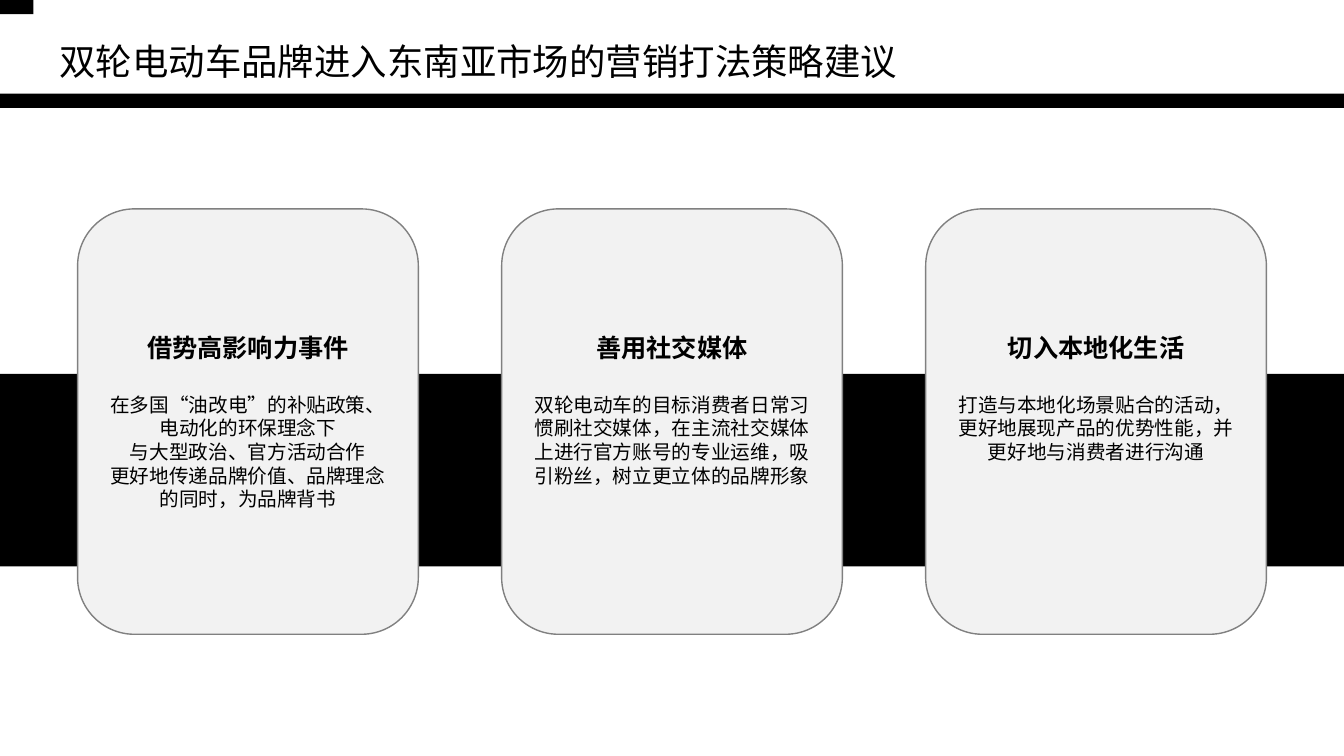
"""Builds a slide with three marketing strategy cards for entering Southeast Asia."""
from dataclasses import dataclass

from pptx import Presentation
from pptx.dml.color import RGBColor
from pptx.enum.shapes import MSO_SHAPE as Preset
from pptx.enum.text import MSO_ANCHOR as Anchor, PP_ALIGN as Align
from pptx.oxml.ns import qn
from pptx.oxml.xmlchemy import OxmlElement
from pptx.shapes.autoshape import Shape
from pptx.slide import Slide
from pptx.text.text import _Paragraph as Paragraph
from pptx.util import Inches, Pt

SLIDE_WIDTH, SLIDE_HEIGHT = Inches(13.33), Inches(7.5)
COLUMN, ROW = SLIDE_WIDTH / 100, SLIDE_HEIGHT / 100


@dataclass(frozen=True)
class Theme:
    font: str = "Noto Sans CJK SC"
    ink: RGBColor = RGBColor(0, 0, 0)
    card_fill: RGBColor = RGBColor(0xF2, 0xF2, 0xF2)
    card_border: RGBColor = RGBColor(0x80, 0x80, 0x80)
    title_size: int = 26
    heading_size: int = 18
    body_size: int = 14
    heading_gap: float = 21.6
    border_width: int = 1


@dataclass(frozen=True)
class Area:
    """Position and size in hundredths of the slide's width and height."""
    column: float
    row: float
    columns: float
    rows: float

    def box(self) -> tuple[int, int, int, int]:
        return (round(self.column * COLUMN), round(self.row * ROW),
                round(self.columns * COLUMN), round(self.rows * ROW))


@dataclass(frozen=True)
class Strategy:
    heading: str
    advice: tuple[str, ...]


THEME = Theme()
HEADER_RULE = Area(0, 12.4, 100, 1.87)
CORNER_TAB = Area(0, 0, 2.48, 1.87)
TITLE_AREA = Area(3.68, 4.4, 94.15, 8.13)
CENTRE_BAND = Area(0, 49.47, 100, 25.47)
CARD_TOP, CARD_COLUMNS, CARD_ROWS, CARD_PITCH = 27.63, 25.35, 56.27, 31.55
CARD_TEXT_INSET = 14.13

TITLE = "双轮电动车品牌进入东南亚市场的营销打法策略建议"
STRATEGIES = (
    Strategy("借势高影响力事件", (
        "在多国“油改电”的补贴政策、电动化的环保理念下",
        "与大型政治、官方活动合作",
        "更好地传递品牌价值、品牌理念的同时，为品牌背书",
    )),
    Strategy("善用社交媒体", (
        "双轮电动车的目标消费者日常习惯刷社交媒体，在主流社交媒体上进行官方账号的专业运维，"
        "吸引粉丝，树立更立体的品牌形象",
    )),
    Strategy("切入本地化生活", (
        "打造与本地化场景贴合的活动，更好地展现产品的优势性能，并更好地与消费者进行沟通",
    )),
)


def format_text(paragraph: Paragraph, size: int, bold: bool = False) -> None:
    for run in paragraph.runs:
        run.font.name = THEME.font
        run.font.size = Pt(size)
        run.font.bold = bold
        run.font.color.rgb = THEME.ink
        properties = run.font._element
        properties.set("lang", "zh-CN")
        east_asian = OxmlElement("a:ea")
        east_asian.set("typeface", THEME.font)
        properties.find(qn("a:latin")).addnext(east_asian)


def add_panel(slide: Slide, preset: Preset, area: Area, fill: RGBColor) -> Shape:
    panel = slide.shapes.add_shape(preset, *area.box())
    panel.shadow.inherit = False
    panel.fill.solid()
    panel.fill.fore_color.rgb = fill
    panel.line.fill.background()
    return panel


def add_title(slide: Slide) -> None:
    frame = slide.shapes.add_textbox(*TITLE_AREA.box()).text_frame
    frame.word_wrap = True
    frame.vertical_anchor = Anchor.MIDDLE
    frame.text = TITLE
    frame.paragraphs[0].line_spacing = 0.9
    format_text(frame.paragraphs[0], THEME.title_size)


def add_card(slide: Slide, strategy: Strategy, area: Area) -> None:
    card = add_panel(slide, Preset.ROUNDED_RECTANGLE, area, THEME.card_fill)
    card.line.color.rgb = THEME.card_border
    card.line.width = Pt(THEME.border_width)
    frame = card.text_frame
    frame.word_wrap = True
    frame.vertical_anchor = Anchor.TOP
    frame.margin_top = round(CARD_TEXT_INSET * ROW)
    frame.text = "\n".join((strategy.heading, *strategy.advice))
    heading, *advice = frame.paragraphs
    for paragraph in frame.paragraphs:
        paragraph.alignment = Align.CENTER
    heading.space_after = Pt(THEME.heading_gap)
    format_text(heading, THEME.heading_size, bold=True)
    for paragraph in advice:
        format_text(paragraph, THEME.body_size)


def main() -> None:
    deck = Presentation()
    deck.slide_width, deck.slide_height = SLIDE_WIDTH, SLIDE_HEIGHT
    slide = deck.slides.add_slide(deck.slide_layouts[6])
    for area in (HEADER_RULE, CORNER_TAB):
        add_panel(slide, Preset.RECTANGLE, area, THEME.ink)
    add_title(slide)
    add_panel(slide, Preset.RECTANGLE, CENTRE_BAND, THEME.ink)
    span = CARD_COLUMNS + CARD_PITCH * (len(STRATEGIES) - 1)
    first_column = (100 - span) / 2
    for index, strategy in enumerate(STRATEGIES):
        column = first_column + index * CARD_PITCH
        add_card(slide, strategy, Area(column, CARD_TOP, CARD_COLUMNS, CARD_ROWS))
    deck.save("out.pptx")


if __name__ == "__main__":
    main()
